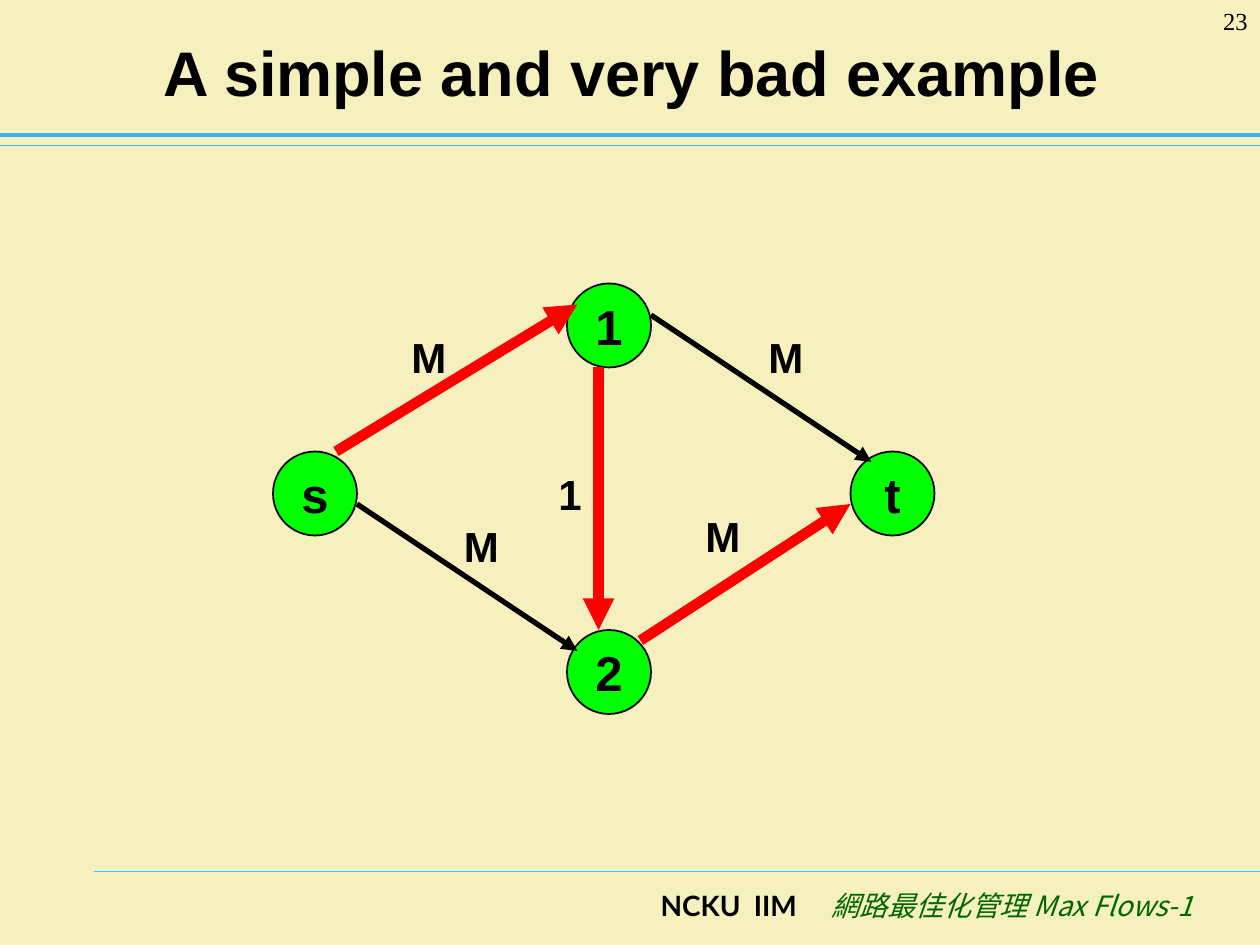
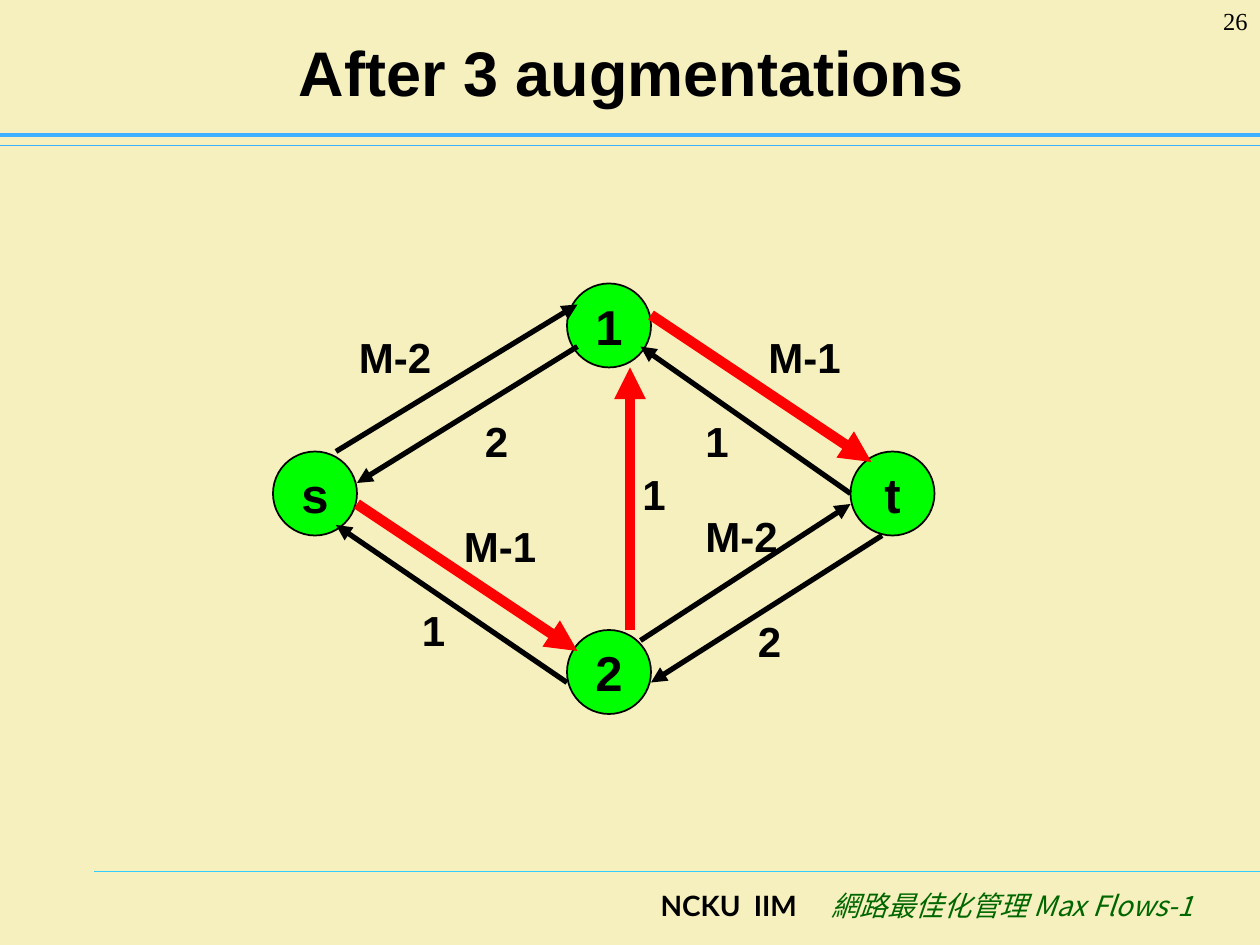
"""Build two max-flow slides: a bad example and its residual network."""
from dataclasses import dataclass

from lxml import etree
from pptx import Presentation
from pptx.dml.color import RGBColor
from pptx.enum.shapes import MSO_CONNECTOR, MSO_SHAPE
from pptx.enum.text import MSO_ANCHOR, PP_ALIGN
from pptx.oxml.ns import qn
from pptx.util import Cm, Pt

STRAIGHT = MSO_CONNECTOR.STRAIGHT
ELLIPSE = MSO_SHAPE.OVAL
MIDDLE = MSO_ANCHOR.MIDDLE
LEFT, CENTER, RIGHT = PP_ALIGN.LEFT, PP_ALIGN.CENTER, PP_ALIGN.RIGHT
TITLE_ONLY = 5


@dataclass(frozen=True)
class Theme:
    """Colours, fonts and type sizes of the deck."""

    background: str = "F5F0BD"
    ink: str = "000000"
    node: str = "00FF00"
    augmenting: str = "FF0000"
    band: str = "3DB0FF"
    footer_rule: str = "33CCFF"
    course: str = "006600"
    font: str = "Arial"
    footer_font: str = "Lato"
    course_font: str = "Noto Sans CJK SC"
    number_font: str = "Times New Roman"
    title_size: int = 36
    node_size: int = 28
    label_size: int = 24
    footer_size: int = 16
    number_size: int = 14


@dataclass(frozen=True)
class Arc:
    """Ends of an arc and the corner of its label, in grid steps."""

    start: tuple
    end: tuple
    label: tuple


@dataclass(frozen=True)
class Flow:
    """One labelled arc of a network on a slide."""

    route: str
    label: str
    augmenting: bool = False
    shift: int = 0


THEME = Theme()
NODE_STEPS = 8
NODES = {"s": (26, 43), "1": (54, 27), "2": (54, 60), "t": (81, 43)}
ARCS = {
    "s1": Arc((32, 43), (55, 29), (38, 31)),
    "1s": Arc((55, 33), (34, 46), (45, 39)),
    "1t": Arc((62, 30), (83, 44), (72, 31)),
    "t1": Arc((81, 47), (61, 33), (66, 39)),
    "s2": Arc((34, 48), (55, 62), (43, 49)),
    "2s": Arc((54, 65), (32, 50), (39, 57)),
    "2t": Arc((61, 61), (81, 48), (66, 48)),
    "t2": Arc((84, 51), (62, 65), (71, 58)),
    "12": Arc((57, 35), (57, 60), (52, 44)),
    "21": Arc((60, 60), (60, 35), (60, 44)),
}
BAD_EXAMPLE = [
    Flow("1t", "M"),
    Flow("s2", "M"),
    Flow("s1", "M", True),
    Flow("2t", "M", True),
    Flow("12", "1", True),
]
AFTER_AUGMENTATIONS = [
    Flow("s1", "M-2", shift=-5),
    Flow("2t", "M-2"),
    Flow("t2", "2"),
    Flow("1s", "2"),
    Flow("2s", "1"),
    Flow("t1", "1"),
    Flow("1t", "M-1", True),
    Flow("s2", "M-1", True),
    Flow("21", "1", True),
]


def grid(steps):
    """Return the length of grid steps, twelve to the inch."""
    return Cm(2.54 * steps / 12)


def format_paragraph(para, size, font=THEME.font, bold=True, align=LEFT):
    """Set the alignment and the font of a paragraph."""
    para.alignment = align
    para.font.name = font
    para.font.size = Pt(size)
    para.font.bold = bold
    para.font.color.rgb = RGBColor.from_string(THEME.ink)


def add_text(page, text, left, top, width, height, **style):
    """Add a wrapping text box of one paragraph."""
    box = page.shapes.add_textbox(left, top, width, height)
    box.text_frame.word_wrap = True
    box.text_frame.text = text
    format_paragraph(box.text_frame.paragraphs[0], **style)


def add_line(page, start, end, color, width, arrow=False):
    """Add a straight line, with an arrowhead at its end if asked."""
    line = page.shapes.add_connector(STRAIGHT, *start, *end)
    line.line.color.rgb = RGBColor.from_string(color)
    line.line.width = Pt(width)
    properties = line._element.spPr
    if arrow:
        outline = properties.find(qn("a:ln"))
        etree.SubElement(outline, qn("a:tailEnd"), type="triangle")
    etree.SubElement(properties, qn("a:effectLst"))


def add_rule(page, left, top, color, width):
    """Add a horizontal rule that runs to the right edge."""
    add_line(page, (Cm(left), Cm(top)), (Cm(25.4), Cm(top)), color, width)


def add_footer(page):
    """Add the school and course names, set apart by tab stops."""
    box = page.shapes.add_textbox(Cm(13.07), Cm(17.78), Cm(11.6), Cm(1.27))
    box.text_frame.word_wrap = True
    para = box.text_frame.paragraphs[0]
    tabs = etree.SubElement(para._p.get_or_add_pPr(), qn("a:tabLst"))
    for position in (1.88, 3.45):
        etree.SubElement(tabs, qn("a:tab"), pos=str(Cm(position)), algn="l")
    para.alignment = LEFT
    para.font.size = Pt(THEME.footer_size)
    parts = [
        ("NCKU\tIIM\t", THEME.footer_font, THEME.ink, True),
        ("網路最佳化管理 Max Flows-1", THEME.course_font, THEME.course, False),
    ]
    for text, font, color, bold in parts:
        span = para.add_run()
        span.text = text
        span.font.name = font
        span.font.bold = bold
        span.font.italic = not bold
        span.font.color.rgb = RGBColor.from_string(color)
        etree.SubElement(span._r.get_or_add_rPr(), qn("a:ea"), typeface=font)


def add_page(deck, title, number):
    """Add a slide with its title, bands, footer and page number."""
    page = deck.slides.add_slide(deck.slide_layouts[TITLE_ONLY])
    heading = page.shapes.title
    heading.left, heading.top = Cm(1.3), Cm(0.33)
    heading.width, heading.height = Cm(22.86), Cm(2.2)
    heading.text_frame.text = title
    heading.text_frame.vertical_anchor = MIDDLE
    format_paragraph(heading.text_frame.paragraphs[0], THEME.title_size, align=CENTER)
    add_rule(page, 1.9, 17.57, THEME.footer_rule, 0.75)
    add_rule(page, 0, 2.94, THEME.band, 0.75)
    add_rule(page, 0, 2.72, THEME.band, 2.5)
    add_footer(page)
    add_text(page, str(number), Cm(23.28), Cm(0), Cm(2.12), Cm(1.27),
             size=THEME.number_size, font=THEME.number_font, bold=False, align=RIGHT)
    return page


def add_node(page, name, column, row):
    """Add a named network node."""
    side = grid(NODE_STEPS)
    node = page.shapes.add_shape(ELLIPSE, grid(column), grid(row), side, side)
    node.shadow.inherit = False
    node.fill.solid()
    node.fill.fore_color.rgb = RGBColor.from_string(THEME.node)
    node.line.color.rgb = RGBColor.from_string(THEME.ink)
    node.line.width = Pt(1)
    frame = node.text_frame
    frame.text = name
    frame.word_wrap = False
    frame.vertical_anchor = MIDDLE
    format_paragraph(frame.paragraphs[0], THEME.node_size, align=CENTER)


def add_flow(page, flow):
    """Add an arc with its capacity label."""
    arc = ARCS[flow.route]
    color, width = (THEME.augmenting, 6) if flow.augmenting else (THEME.ink, 3)
    start, end = map(grid, arc.start), map(grid, arc.end)
    add_line(page, start, end, color, width, arrow=True)
    column, row = arc.label
    label_steps = 7 if len(flow.label) == 1 else 13
    add_text(page, flow.label, grid(column + flow.shift), grid(row),
             grid(label_steps), grid(6), size=THEME.label_size)


def add_network(page, flows):
    """Add the four nodes and the given flows."""
    for name, (column, row) in NODES.items():
        add_node(page, name, column, row)
    for flow in flows:
        add_flow(page, flow)


def main():
    """Build and save the deck."""
    deck = Presentation()
    deck.slide_width, deck.slide_height = Cm(25.4), Cm(19.05)
    backdrop = deck.slide_master.background.fill
    backdrop.solid()
    backdrop.fore_color.rgb = RGBColor.from_string(THEME.background)
    add_network(add_page(deck, "A simple and very bad example", 23), BAD_EXAMPLE)
    add_network(add_page(deck, "After 3 augmentations", 26), AFTER_AUGMENTATIONS)
    deck.save("out.pptx")


if __name__ == "__main__":
    main()
